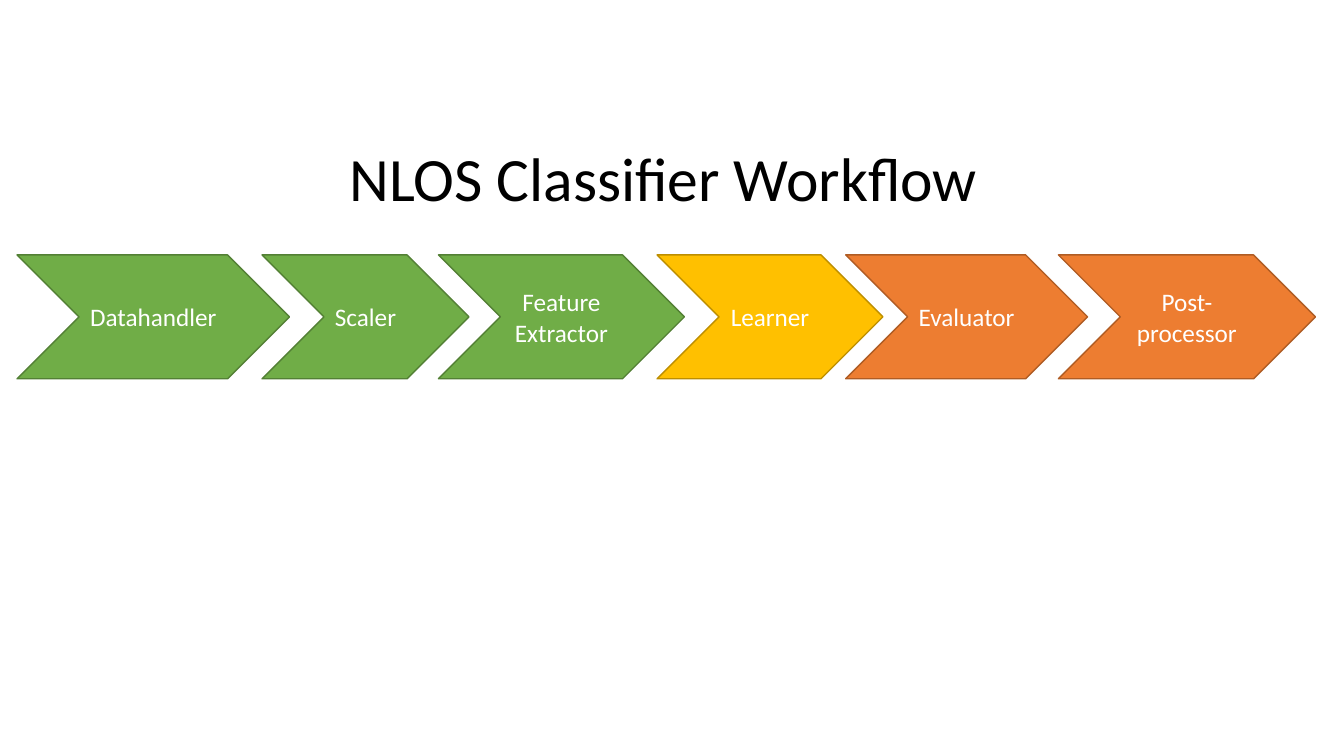
from pptx import Presentation
from pptx.dml.color import RGBColor
from pptx.enum.shapes import MSO_SHAPE
from pptx.enum.text import MSO_ANCHOR, PP_ALIGN
from pptx.util import Pt

CHEVRON = MSO_SHAPE.CHEVRON
MIDDLE = MSO_ANCHOR.MIDDLE
CENTER = PP_ALIGN.CENTER

BLACK = RGBColor(0x00, 0x00, 0x00)
WHITE = RGBColor(0xFF, 0xFF, 0xFF)
GREEN = RGBColor(0x70, 0xAD, 0x47)
DARK_GREEN = RGBColor(0x53, 0x80, 0x35)
GOLD = RGBColor(0xFF, 0xC0, 0x00)
DARK_GOLD = RGBColor(0xBD, 0x8E, 0x00)
ORANGE = RGBColor(0xED, 0x7D, 0x31)
DARK_ORANGE = RGBColor(0xAF, 0x5C, 0x24)

FONT = "Calibri"
TITLE = "NLOS Classifier Workflow"
PREPARE = (GREEN, DARK_GREEN)
LEARN = (GOLD, DARK_GOLD)
ASSESS = (ORANGE, DARK_ORANGE)
STEPS = [
    ("Datahandler", 12.2, 194.6, PREPARE),
    ("Scaler", 187.2, 147.8, PREPARE),
    ("Feature Extractor", 313.2, 175.7, PREPARE),
    ("Learner", 469.4, 161.3, LEARN),
    ("Evaluator", 604.1, 172.8, ASSESS),
    ("Post-processor", 756, 183.6, ASSESS),
]
STEP_TOP, STEP_HEIGHT = 182.1, 88.5


def set_text(sp, text, size, color):
    tf = sp.text_frame
    tf.text = text
    tf.word_wrap = True
    tf.vertical_anchor = MIDDLE
    p = tf.paragraphs[0]
    p.alignment = CENTER
    p.font.name = FONT
    p.font.size = Pt(size)
    p.font.color.rgb = color
    return p


prs = Presentation()
prs.slide_width, prs.slide_height = Pt(960), Pt(540)
s = prs.slides.add_slide(prs.slide_layouts[5])

title = s.shapes.title
title.left, title.top, title.width, title.height = Pt(60), Pt(77.8), Pt(828), Pt(104.4)
set_text(title, TITLE, 44, BLACK).line_spacing = 0.9

for label, left, width, (fill, line) in STEPS:
    sp = s.shapes.add_shape(CHEVRON, Pt(left), Pt(STEP_TOP), Pt(width), Pt(STEP_HEIGHT))
    sp.shadow.inherit = False
    sp.fill.solid()
    sp.fill.fore_color.rgb = fill
    sp.line.color.rgb = line
    sp.line.width = Pt(1)
    set_text(sp, label, 18, WHITE)

prs.save("out.pptx")
